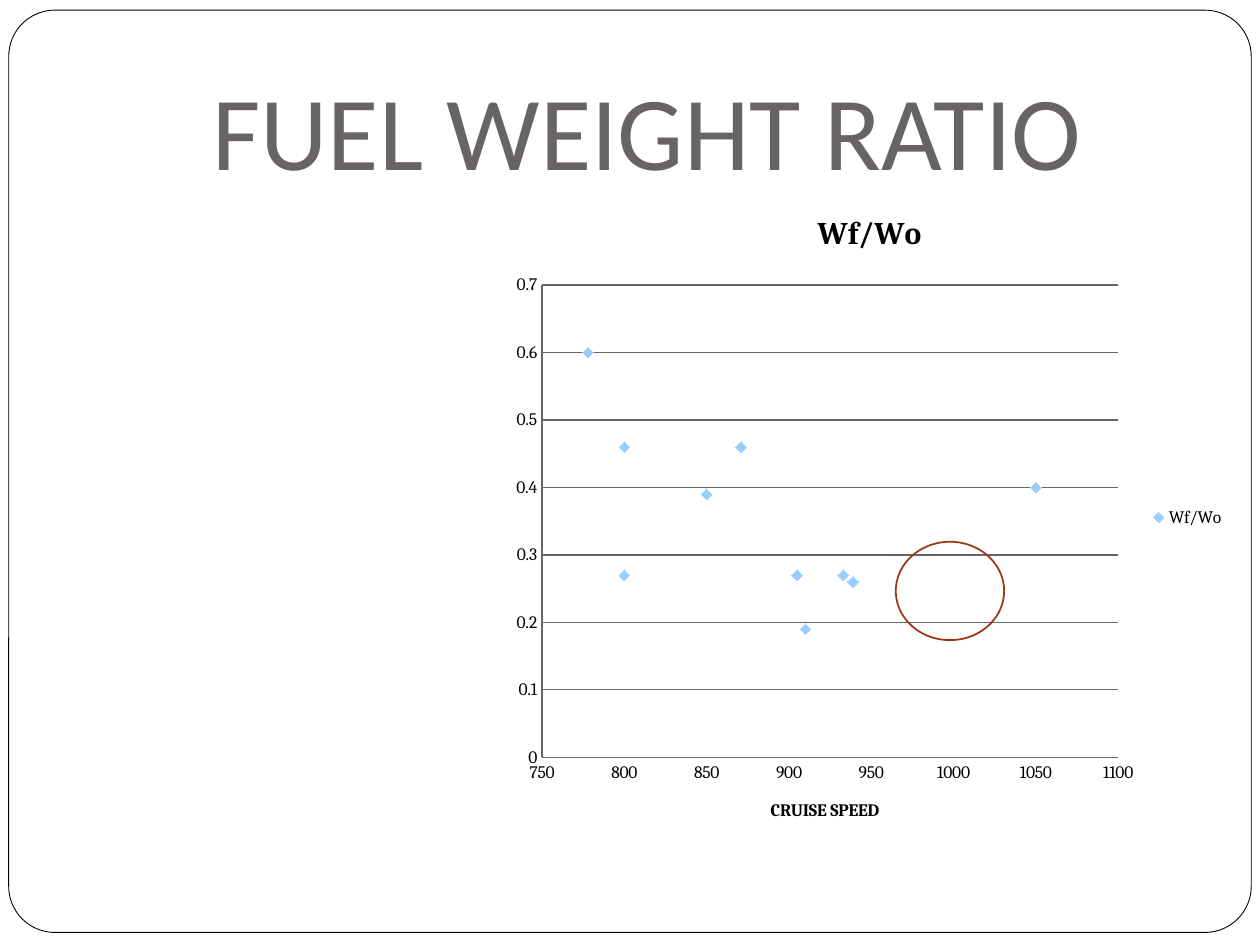
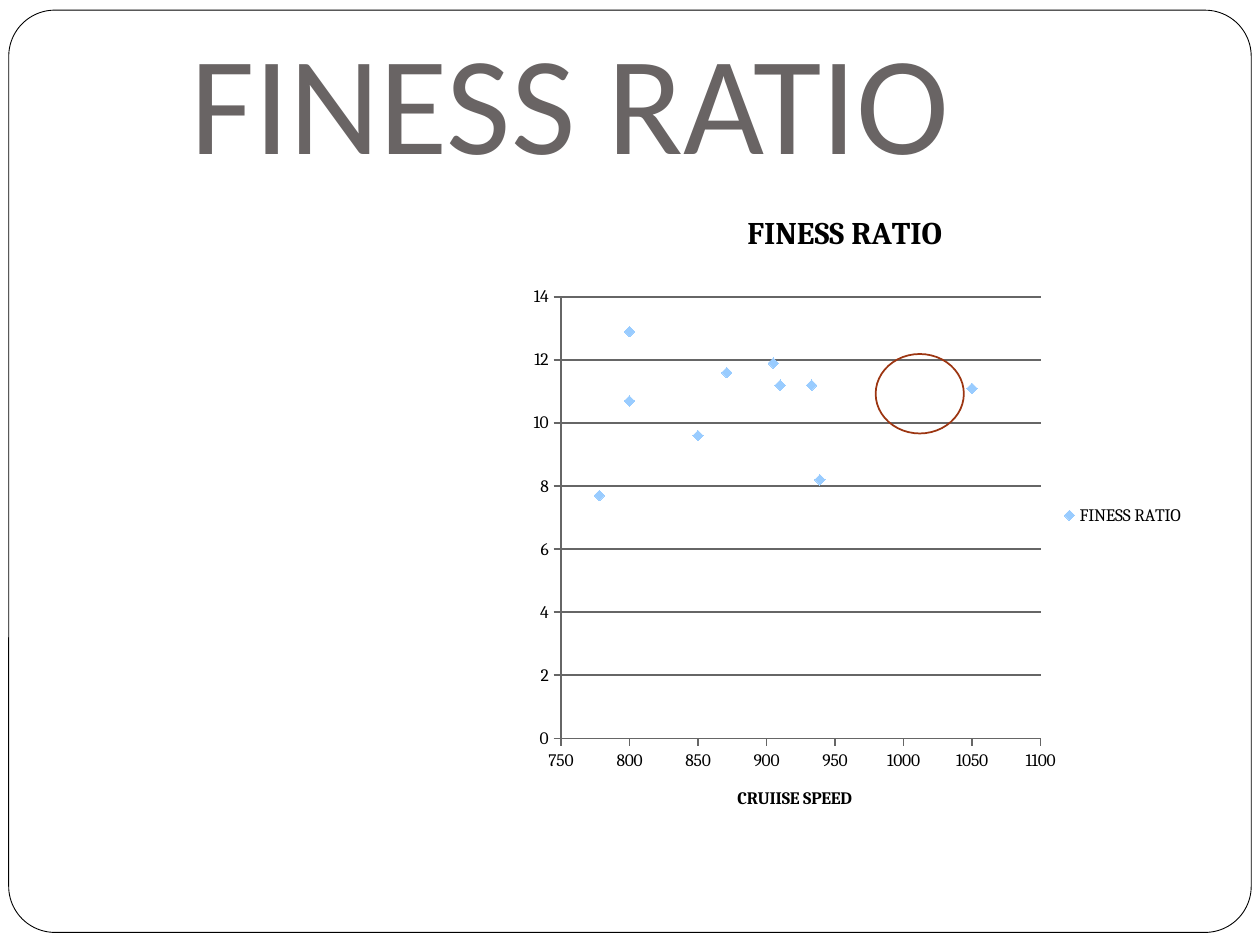
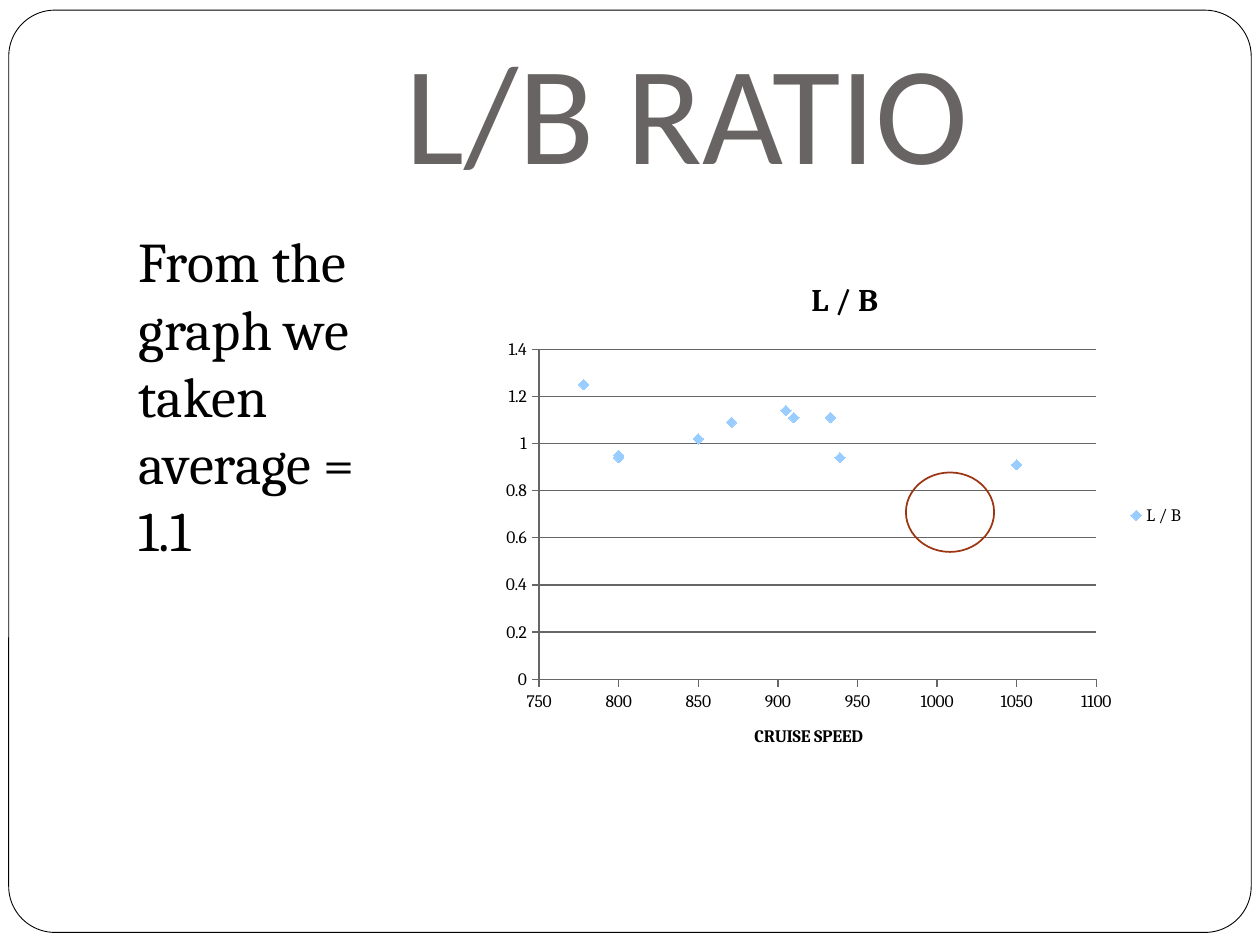
"""Builds three slides that plot aircraft ratios against cruise speed."""
from pptx import Presentation
from pptx.chart.data import XyChartData
from pptx.dml.color import RGBColor
from pptx.enum import chart as kinds, shapes, text
from pptx.oxml import parse_xml
from pptx.oxml.ns import nsdecls, qn
from pptx.util import Pt

TITLE_GREY = RGBColor(0x69, 0x64, 0x64)
GRID_GREY = RGBColor(0x66, 0x66, 0x66)
BLACK = RGBColor(0, 0, 0)
WHITE = RGBColor(255, 255, 255)
POINT_BLUE = RGBColor(0x99, 0xCC, 0xFF)
RING_RED = RGBColor(0x9C, 0x35, 0x11)
HEADING_FONT, BODY_FONT = "Calibri", "Cambria"

FRAME = (5, 5.8, 710, 527)
FRAME_ROUNDING = 0.05
NOTE_BOX = (72, 126, 150, 354)
SPEEDS = [910, 905, 850, 939, 933, 1050, 871, 778, 800, 800]
LEFT, CENTER = text.PP_ALIGN.LEFT, text.PP_ALIGN.CENTER
NO_TICK, TICK = kinds.XL_TICK_MARK.NONE, kinds.XL_TICK_MARK.OUTSIDE

SLIDES = [
    dict(title="FUEL WEIGHT RATIO", title_box=(36, 21.6, 667.4, 91.4), title_size=60, align=CENTER,
         ratio="Wf/Wo", speed_label="CRUISE SPEED", chart_box=(286.6, 106.6, 420.5, 378),
         plot=(0.055, 0.149, 0.783, 0.714), top=0.7, step=0.1, ticks=NO_TICK,
         values=[0.19, 0.27, 0.39, 0.26, 0.27, 0.4, 0.46, 0.6, 0.46, 0.27],
         ring=(511.9, 309.6, 61.9, 56.2), note=None),
    dict(title="FINESS RATIO", title_box=(101.5, 16.6, 667.4, 91.4), title_size=80, align=LEFT,
         ratio="FINESS RATIO", speed_label="CRUIISE SPEED", chart_box=(281.5, 106.6, 402.5, 375.8),
         plot=(0.097, 0.168, 0.681, 0.671), top=14, step=2, ticks=TICK,
         values=[11.2, 11.9, 9.6, 8.2, 11.2, 11.1, 11.6, 7.7, 12.9, 10.7],
         ring=(500.4, 202.3, 50.4, 45.4), note=None),
    dict(title="L/B RATIO", title_box=(224.6, 22.3, 672.5, 91.4), title_size=80, align=LEFT,
         ratio="L / B", speed_label="CRUISE SPEED", chart_box=(281.5, 146.2, 402.5, 296.6),
         plot=(0.066, 0.18, 0.791, 0.636), top=1.4, step=0.2, ticks=TICK,
         values=[1.11, 1.14, 1.02, 0.94, 1.11, 0.91, 1.09, 1.25, 0.95, 0.94],
         ring=(517.7, 270, 50.4, 45.4), note="From the graph we taken average = 1.1"),
]


def points(box):
    return [Pt(length) for length in box]


def style(font, size, color=BLACK, name=BODY_FONT, bold=False):
    font.size, font.name, font.bold = Pt(size), name, bold
    font.color.rgb = color


def add_outline(slide, kind, box, color, width):
    outline = slide.shapes.add_shape(kind, *points(box))
    outline.shadow.inherit = False
    outline.fill.background()
    outline.line.color.rgb = color
    outline.line.width = Pt(width)
    return outline


def add_master_frame(prs, slide):
    frame = add_outline(slide, shapes.MSO_SHAPE.ROUNDED_RECTANGLE, FRAME, BLACK, 0.5)
    frame.adjustments[0] = FRAME_ROUNDING
    frame.fill.solid()
    frame.fill.fore_color.rgb = WHITE
    prs.slide_master.shapes.element.insert(2, frame.element)


def fill_placeholder(holder, box, words, size, color, font_name, align, anchor):
    holder.left, holder.top, holder.width, holder.height = points(box)
    frame = holder.text_frame
    frame.text = words
    frame.auto_size = text.MSO_AUTO_SIZE.NONE
    frame.vertical_anchor = anchor
    paragraph = frame.paragraphs[0]
    paragraph.alignment = align
    paragraph.space_before = Pt(0)
    style(paragraph.runs[0].font, size, color, font_name)
    return paragraph


def add_note(holder, words):
    paragraph = fill_placeholder(holder, NOTE_BOX, words, 32, BLACK, BODY_FONT, LEFT,
                                 text.MSO_ANCHOR.TOP)
    properties = paragraph._p.get_or_add_pPr()
    properties.set("marL", "0")
    properties.set("indent", "0")
    properties.append(parse_xml(f"<a:buNone {nsdecls('a')}/>"))


def place_plot(chart, fractions):
    area = chart.element.find(qn("c:chart")).find(qn("c:plotArea"))
    for layout in area.findall(qn("c:layout")):
        area.remove(layout)
    sides = "".join(f'<c:{side} val="{part}"/>' for side, part in zip("xywh", fractions))
    area.insert(0, parse_xml(
        f'<c:layout {nsdecls("c")}><c:manualLayout><c:layoutTarget val="inner"/>'
        f'<c:xMode val="edge"/><c:yMode val="edge"/>{sides}</c:manualLayout></c:layout>'))


def set_axis(axis, low, high, step, ticks):
    axis.minimum_scale, axis.maximum_scale, axis.major_unit = low, high, step
    axis.major_tick_mark, axis.minor_tick_mark = ticks, NO_TICK
    axis.format.line.color.rgb = GRID_GREY
    axis.format.line.width = Pt(0.75)
    style(axis.tick_labels.font, 10)


def add_ratio_chart(slide, content):
    data = XyChartData()
    ratio = data.add_series(content["ratio"])
    for speed, value in zip(SPEEDS, content["values"]):
        ratio.add_data_point(speed, value)
    chart = slide.shapes.add_chart(kinds.XL_CHART_TYPE.XY_SCATTER,
                                   *points(content["chart_box"]), data).chart
    style(chart.font, 10)
    chart.has_title = True
    heading = chart.chart_title.text_frame
    heading.text = content["ratio"]
    style(heading.paragraphs[0].runs[0].font, 18, bold=True)
    chart.has_legend = True
    chart.legend.position = kinds.XL_LEGEND_POSITION.RIGHT
    chart.legend.include_in_layout = False
    style(chart.legend.font, 10)

    speed_axis, ratio_axis = chart.category_axis, chart.value_axis
    set_axis(speed_axis, 750, 1100, 50, content["ticks"])
    set_axis(ratio_axis, 0, content["top"], content["step"], content["ticks"])
    speed_axis.has_major_gridlines = False
    ratio_axis.has_major_gridlines = True
    grid = ratio_axis.major_gridlines.format.line
    grid.color.rgb, grid.width = GRID_GREY, Pt(0.75)
    speed_label = speed_axis.axis_title.text_frame
    speed_label.text = content["speed_label"]
    style(speed_label.paragraphs[0].runs[0].font, 10, bold=True)

    plot = chart.plots[0]
    plot.vary_by_categories = False
    series = plot.series[0]
    series.format.line.fill.background()
    marker = series.marker
    marker.style, marker.size = kinds.XL_MARKER_STYLE.DIAMOND, 6
    marker.format.fill.solid()
    marker.format.fill.fore_color.rgb = POINT_BLUE
    marker.format.line.fill.background()
    place_plot(chart, content["plot"])


def main():
    prs = Presentation()
    prs.slide_width, prs.slide_height = Pt(720), Pt(540)
    for number, content in enumerate(SLIDES):
        slide = prs.slides.add_slide(prs.slide_layouts[1 if content["note"] else 5])
        if number == 0:
            add_master_frame(prs, slide)
        fill_placeholder(slide.shapes.title, content["title_box"], content["title"],
                         content["title_size"], TITLE_GREY, HEADING_FONT, content["align"],
                         text.MSO_ANCHOR.BOTTOM)
        if content["note"]:
            add_note(slide.placeholders[1], content["note"])
        add_ratio_chart(slide, content)
        add_outline(slide, shapes.MSO_SHAPE.OVAL, content["ring"], RING_RED, 1)
    prs.save("out.pptx")


if __name__ == "__main__":
    main()
